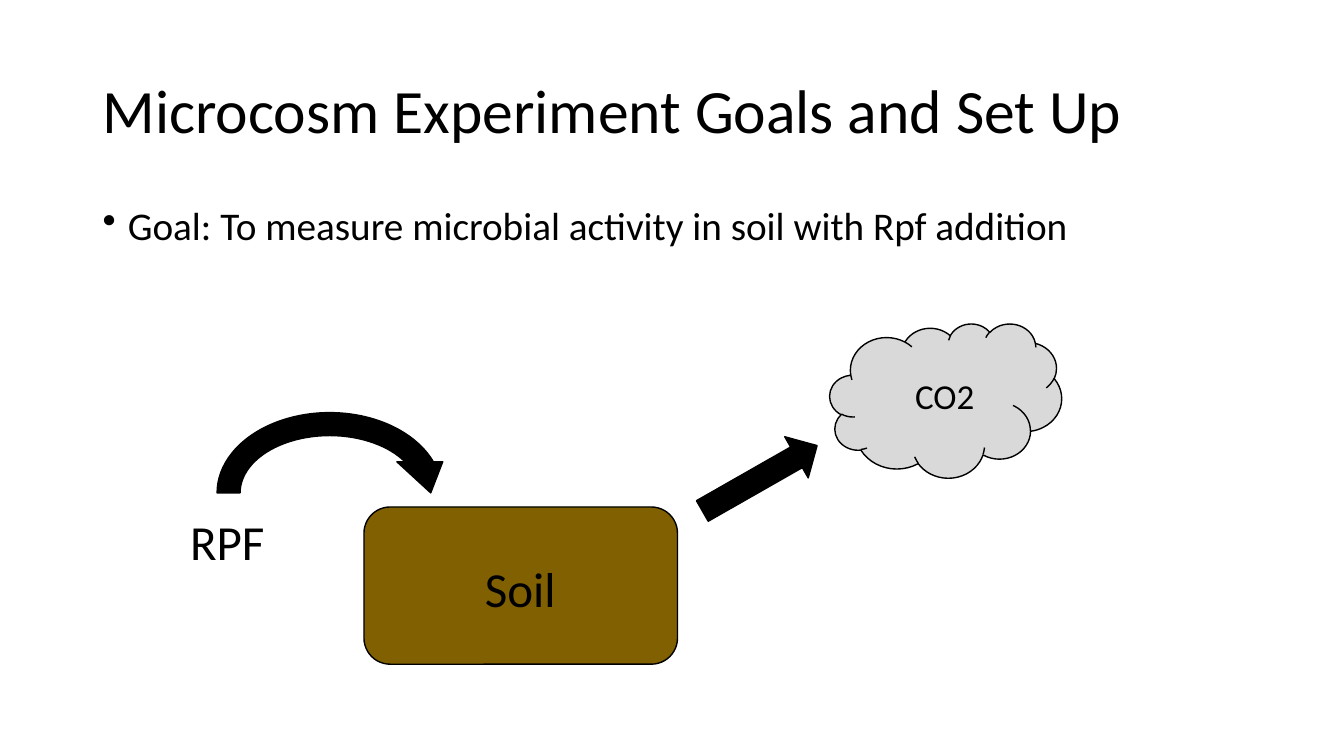
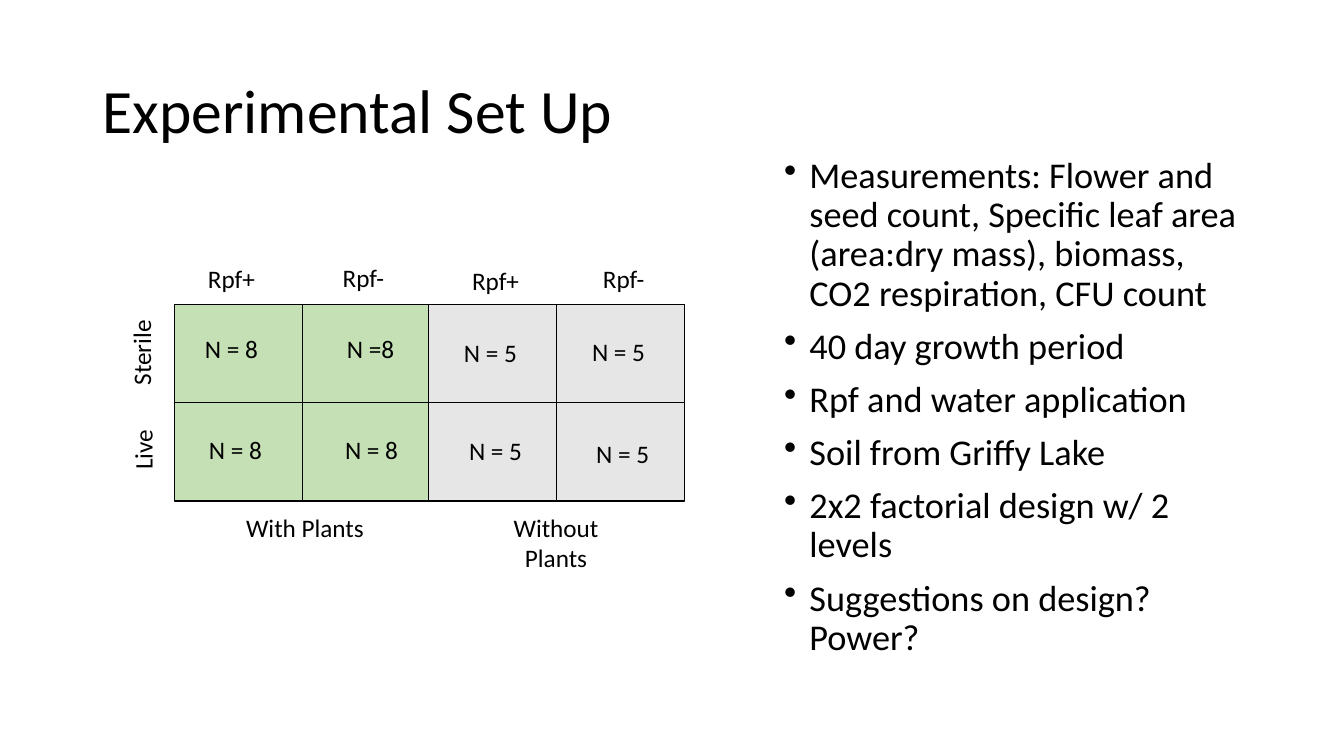
import dataclasses

import lxml.etree
import pptx
import pptx.dml.color
import pptx.enum.shapes
import pptx.enum.text
import pptx.oxml.ns
import pptx.util

Inches = pptx.util.Inches
Pt = pptx.util.Pt
RGB = pptx.dml.color.RGBColor
SHAPE = pptx.enum.shapes.MSO_SHAPE
ALIGN = pptx.enum.text.PP_ALIGN
ANCHOR = pptx.enum.text.MSO_ANCHOR
qn = pptx.oxml.ns.qn


@dataclasses.dataclass(frozen=True)
class Theme:
    """Font, colours and type sizes shared by the slides."""
    font: str = "Calibri"
    ink: RGB = RGB(0, 0, 0)
    soil: RGB = RGB(0x80, 0x60, 0x00)
    cloud: RGB = RGB(0xD9, 0xD9, 0xD9)
    plants: RGB = RGB(0xC5, 0xE0, 0xB4)
    bare: RGB = RGB(0xE7, 0xE6, 0xE6)
    title: float = 44
    body: float = 28
    list_body: float = 25.9
    large: float = 35
    medium: float = 25
    label: float = 18
    line: float = 1


THEME = Theme()


def style(p, size):
    """Give a paragraph the theme font, colour and a size."""
    p.font.name = THEME.font
    p.font.size = Pt(size)
    p.font.color.rgb = THEME.ink


def add_box(s, left, top, width, height):
    """Add an empty wrapping text box and return its text frame."""
    sp = s.shapes.add_textbox(Inches(left), Inches(top), Inches(width), Inches(height))
    sp.text_frame.word_wrap = True
    return sp.text_frame


def add_title(s, text):
    """Add the slide title."""
    tf = add_box(s, 0.92, 0.4, 11.5, 1.45)
    tf.vertical_anchor = ANCHOR.MIDDLE
    p = tf.paragraphs[0]
    p.text = text
    p.line_spacing = 0.9
    style(p, THEME.title)


def add_bullets(s, at, items, size):
    """Add a bulleted list with hanging indents."""
    tf = add_box(s, *at)
    for i, item in enumerate(items):
        p = tf.add_paragraph() if i else tf.paragraphs[0]
        p.text = item
        p.line_spacing = 0.9
        p.space_before = Pt(10)
        style(p, size)
        props = p._p.get_or_add_pPr()
        props.set("marL", str(Inches(0.25)))
        props.set("indent", str(-Inches(0.25)))
        bullet = lxml.etree.Element(qn("a:buChar"), char="•")
        props.find(qn("a:defRPr")).addprevious(bullet)


def add_label(s, text, left, top, width=0.97, height=0.4, size=THEME.label, rotation=0):
    """Add a centred label, turned if a rotation is given."""
    sp = s.shapes.add_textbox(Inches(left), Inches(top), Inches(width), Inches(height))
    sp.rotation = rotation
    tf = sp.text_frame
    tf.word_wrap = True
    tf.auto_size = pptx.enum.text.MSO_AUTO_SIZE.SHAPE_TO_FIT_TEXT
    p = tf.paragraphs[0]
    p.text = text
    p.alignment = ALIGN.CENTER
    style(p, size)


def add_figure(s, kind, left, top, width, height, fill, rotation=0):
    """Add a filled, outlined preset shape."""
    sp = s.shapes.add_shape(kind, Inches(left), Inches(top), Inches(width), Inches(height))
    sp.shadow.inherit = False
    sp.fill.solid()
    sp.fill.fore_color.rgb = fill
    sp.line.color.rgb = THEME.ink
    sp.line.width = Pt(THEME.line)
    sp.rotation = rotation


def add_line(s, x1, y1, x2, y2):
    """Add a straight line without a shadow."""
    line = s.shapes.add_connector(
        pptx.enum.shapes.MSO_CONNECTOR.STRAIGHT,
        Inches(x1), Inches(y1), Inches(x2), Inches(y2))
    line.line.color.rgb = THEME.ink
    line.line.width = Pt(THEME.line)
    lxml.etree.SubElement(line._element.spPr, qn("a:effectLst"))


def add_quadrants(s, left, top, width, height, fill):
    """Add a rectangle divided into two rows and two columns."""
    add_figure(s, SHAPE.RECTANGLE, left, top, width, height, fill)
    mid_x, mid_y = left + width / 2, top + height / 2
    add_line(s, mid_x, top, mid_x, top + height)
    add_line(s, left, mid_y, left + width, mid_y)


def build_goals(prs):
    """Build the slide on the goal and the flow from Rpf to CO2."""
    s = prs.slides.add_slide(prs.slide_layouts[6])
    add_title(s, "Microcosm Experiment Goals and Set Up")
    add_bullets(s, (0.92, 2, 11.5, 4.76),
                ["Goal: To measure microbial activity in soil with Rpf addition"], THEME.body)
    add_figure(s, SHAPE.ROUNDED_RECTANGLE, 3.61, 5.03, 3.11, 1.56, THEME.soil)
    add_label(s, "Soil", 4.05, 5.49, 2.22, 0.69, THEME.large)
    add_figure(s, SHAPE.CIRCULAR_ARROW, 2.04, 3.98, 2.46, 1.82, THEME.ink)
    add_label(s, "RPF ", 1.39, 5.03, 1.84, 0.69, THEME.large)
    add_figure(s, SHAPE.CLOUD, 8.23, 3.21, 2.3, 1.53, THEME.cloud)
    add_figure(s, SHAPE.UP_ARROW, 7.3, 4.09, 0.47, 1.31, THEME.ink, rotation=60.3)
    add_label(s, "CO2", 8.88, 3.67, 0.98, 0.52, THEME.medium)


def build_design(prs):
    """Build the slide on the factorial design and its measurements."""
    s = prs.slides.add_slide(prs.slide_layouts[6])
    add_title(s, "Experimental Set Up")
    add_bullets(s, (7.68, 1.51, 4.74, 5.25), [
        "Measurements: Flower and seed count, Specific leaf area "
        "(area:dry mass), biomass, CO2 respiration, CFU count ",
        "40 day growth period",
        "Rpf and water application",
        "Soil from Griffy Lake ",
        "2x2 factorial design w/ 2 levels",
        "Suggestions on design? Power?",
    ], THEME.list_body)

    for left, fill in ((1.73, THEME.plants), (4.25, THEME.bare)):
        add_quadrants(s, left, 3.02, 2.54, 1.95, fill)

    treatments = [("Rpf+", 1.81, 2.56), ("Rpf-", 3.12, 2.55),
                  ("Rpf+", 4.43, 2.58), ("Rpf-", 5.7, 2.56)]
    sterile_counts = [("N = 8", 1.81, 3.26), ("N =8", 3.19, 3.26),
                      ("N = 5", 4.38, 3.3), ("N = 5", 5.65, 3.29)]
    live_counts = [("N = 8", 1.85, 4.26), ("N = 8", 3.2, 4.26),
                   ("N = 5", 4.43, 4.27), ("N = 5", 5.69, 4.3)]
    for text, left, top in treatments + sterile_counts + live_counts:
        add_label(s, text, left, top)

    add_label(s, "Sterile", 0.87, 3.3, 1.06, rotation=270)
    add_label(s, "Live", 0.84, 4.26, 1.15, rotation=270)
    add_label(s, "With Plants", 2.23, 5.03, 1.59)
    add_label(s, "Without Plants", 4.72, 5.03, 1.59, 0.71)


def main():
    """Build and save the presentation."""
    prs = pptx.Presentation()
    prs.slide_width = Inches(13.33)
    prs.slide_height = Inches(7.5)
    build_goals(prs)
    build_design(prs)
    prs.save("out.pptx")


main()
